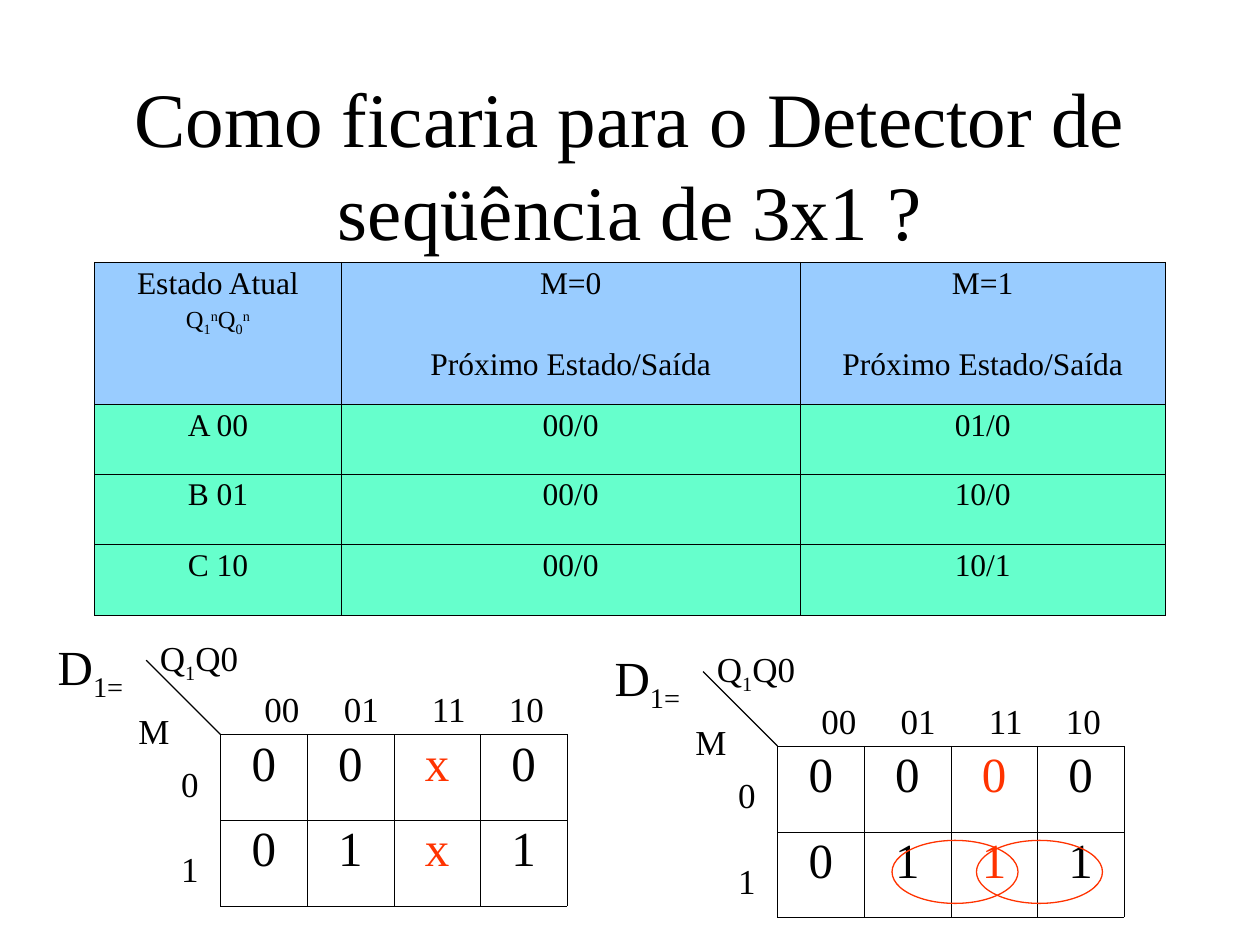
from dataclasses import dataclass

from lxml import etree
from pptx import Presentation
from pptx import util as u
from pptx.dml.color import RGBColor
from pptx.enum import shapes, text
from pptx.oxml import ns


@dataclass(frozen=True)
class Theme:
    font: str = "Times New Roman"
    ink: str = "000000"
    accent: str = "FF3300"
    header: str = "99CCFF"
    body: str = "66FFCC"
    title: int = 44
    large: int = 28
    label: int = 20
    cell: int = 18
    small: int = 14
    line: float = 0.75
    border: float = 0.06
    spacing: float = 0.93


T = Theme()
CENTER = text.PP_ALIGN.CENTER
SUB, SUPER = -25000, 30000
Q_LABEL = [("Q", 0), ("1", SUB), ("Q0", 0)]
D_LABEL = [("D", 0), ("1=", SUB)]
STATE_LABEL = [("Q", 0), ("1", SUB), ("n", SUPER), ("Q", 0), ("0", SUB), ("n", SUPER)]
CODES = ["00", "01", "11", "10"]
CODE_TABS = [0.63, 1.33, 1.94]


def add_runs(p, runs, size, color=T.ink):
    for content, baseline in runs:
        r = p.add_run()
        r.text = content
        r.font.size = u.Pt(size)
        r.font.name = T.font
        r.font.color.rgb = RGBColor.from_string(color)
        if baseline:
            r._r.get_or_add_rPr().set("baseline", str(baseline))


def add_text(s, x, y, w, h, runs, size, wrap=False):
    tf = s.shapes.add_textbox(*map(u.Inches, (x, y, w, h))).text_frame
    tf.word_wrap = wrap
    add_runs(tf.paragraphs[0], runs, size)
    return tf


def add_title(s, content):
    tf = add_text(s, 0.75, 0.51, 8.5, 1.57, [(content, 0)], T.title, wrap=True)
    tf.vertical_anchor = text.MSO_ANCHOR.MIDDLE
    tf.paragraphs[0].alignment = CENTER


def add_tabs(p, stops):
    tabs = etree.SubElement(p._p.get_or_add_pPr(), ns.qn("a:tabLst"))
    for stop in stops:
        etree.SubElement(tabs, ns.qn("a:tab"), pos=str(u.Inches(stop)), algn="l")


def add_grid(s, x, y, widths, heights):
    frame = s.shapes.add_table(len(heights), len(widths), *map(
        u.Inches, (x, y, sum(widths), sum(heights))))
    table = frame.table
    table.first_row = table.horz_banding = False
    for column, width in zip(table.columns, widths):
        column.width = u.Inches(width)
    for row, height in zip(table.rows, heights):
        row.height = u.Inches(height)
    return table


def style_cell(cell, fill=None):
    props = cell._tc.get_or_add_tcPr()
    for side in ("lnL", "lnR", "lnT", "lnB"):
        ln = etree.SubElement(props, ns.qn(f"a:{side}"), w=str(u.Pt(T.border)))
        solid = etree.SubElement(ln, ns.qn("a:solidFill"))
        etree.SubElement(solid, ns.qn("a:srgbClr"), val=T.ink)
    if fill:
        cell.fill.solid()
        cell.fill.fore_color.rgb = RGBColor.from_string(fill)
    else:
        cell.fill.background()


def add_cell_line(cell, runs, size, color=T.ink, before=None):
    tf = cell.text_frame
    p = tf.paragraphs[0] if before is None else tf.add_paragraph()
    p.alignment = CENTER
    p.line_spacing = T.spacing
    if before is not None:
        p.space_before = u.Pt(before)
    add_runs(p, runs, size, color)


def add_state_table(s):
    rows = [("Estado Atual", "M=0", "M=1"),
            ("A 00", "00/0", "01/0"),
            ("B 01", "00/0", "10/0"),
            ("C 10", "00/0", "10/1")]
    table = add_grid(s, 0.75, 2.08, [1.96, 3.64, 2.9], [1.13, 0.55, 0.56, 0.56])
    for i, row in enumerate(rows):
        for j, value in enumerate(row):
            cell = table.cell(i, j)
            style_cell(cell, T.body if i else T.header)
            add_cell_line(cell, [(value, 0)], T.cell)
    add_cell_line(table.cell(0, 0), STATE_LABEL, T.small, before=3.5)
    for j in (1, 2):
        add_cell_line(table.cell(0, j), [("Próximo Estado/Saída", 0)], T.cell, before=28)


def add_diagonal(s, x, y, reach):
    line = s.shapes.add_connector(shapes.MSO_CONNECTOR.STRAIGHT, *map(
        u.Inches, (x, y, x - reach, y - reach)))
    line.line.color.rgb = RGBColor.from_string(T.ink)
    line.line.width = u.Pt(T.line)
    etree.SubElement(line._element.spPr, ns.qn("a:effectLst"))


def add_karnaugh_map(s, x, y, rows):
    table = add_grid(s, x, y, [0.6875] * 4, [0.68] * 2)
    for i, row in enumerate(rows):
        for j, value in enumerate(row):
            cell = table.cell(i, j)
            style_cell(cell)
            add_cell_line(cell, [(value, 0)], T.large, T.accent if j == 2 else T.ink)
    add_diagonal(s, x, y, 0.59)
    add_text(s, x - 0.58, y - 0.83, 0.82, 0.48, Q_LABEL, T.label)
    add_text(s, x - 0.75, y - 0.25, 0.45, 0.44, [("M", 0)], T.label)
    codes = add_text(s, x + 0.25, y - 0.42, 2.42, 0.44, [("\t".join(CODES), 0)], T.label, wrap=True)
    add_tabs(codes.paragraphs[0], CODE_TABS)
    tf = add_text(s, x - 0.41, y + 0.17, 0.34, 1.1, [("0", 0)], T.label)
    p = tf.add_paragraph()
    p.space_before = u.Pt(25)
    add_runs(p, [("1", 0)], T.label)
    add_text(s, x - 1.39, y - 0.83, 0.72, 0.63, D_LABEL, T.large)


def add_group_mark(s, x, y):
    sp = s.shapes.add_shape(shapes.MSO_SHAPE.OVAL, *map(u.Inches, (x, y, 1, 0.5)))
    sp.shadow.inherit = False
    sp.fill.background()
    sp.line.color.rgb = RGBColor.from_string(T.accent)
    sp.line.width = u.Pt(T.line)


def main():
    prs = Presentation()
    prs.slide_width, prs.slide_height = u.Inches(10), u.Inches(7.5)
    s = prs.slides.add_slide(prs.slide_layouts[6])
    add_title(s, "Como ficaria para o Detector de seqüência de 3x1 ?")
    add_state_table(s)
    add_karnaugh_map(s, 1.75, 5.83, ["00x0", "01x1"])
    add_karnaugh_map(s, 6.17, 5.92, ["0000", "0111"])
    for x in (7.75, 7.08):
        add_group_mark(s, x, 6.67)
    prs.save("out.pptx")


if __name__ == "__main__":
    main()
